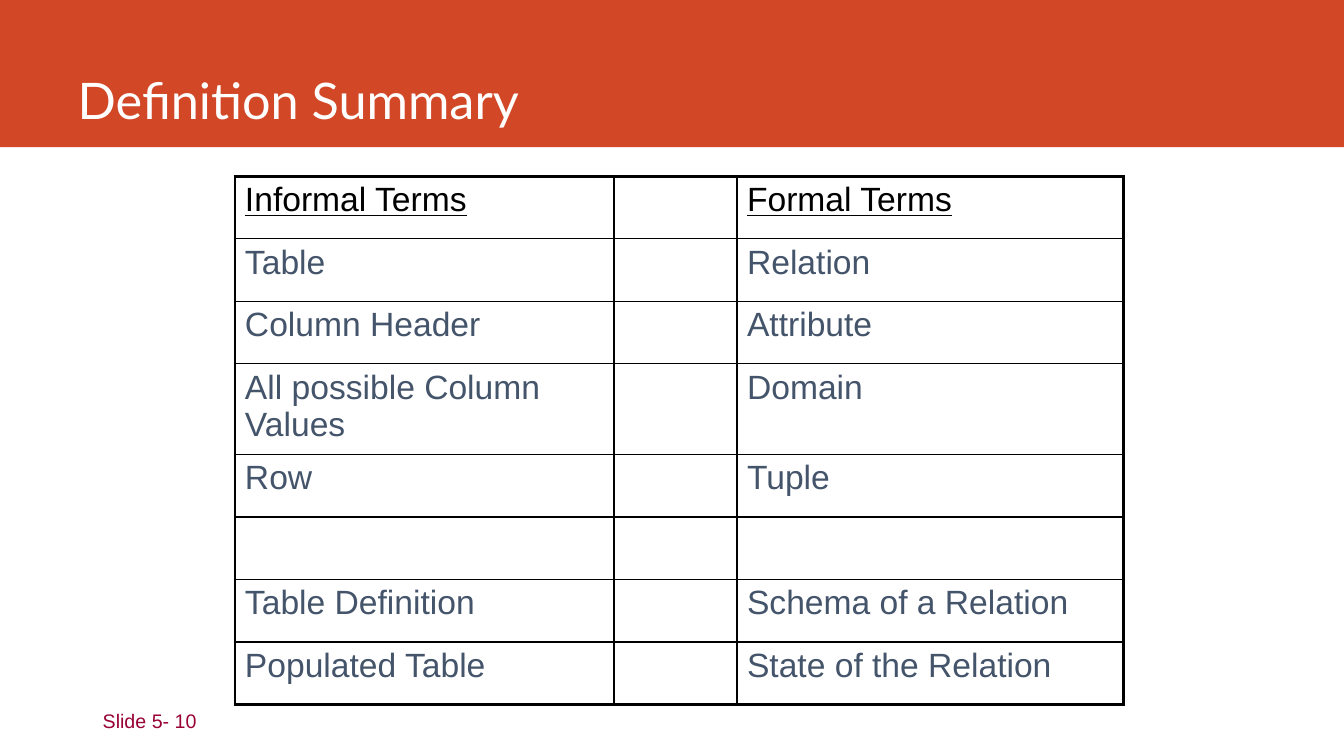
from dataclasses import dataclass

from lxml.etree import SubElement
from pptx import Presentation
from pptx.dml.color import RGBColor
from pptx.enum.shapes import MSO_SHAPE as Shape
from pptx.enum.text import MSO_ANCHOR as Anchor, PP_ALIGN as Align
from pptx.oxml.ns import qn
from pptx.table import Table, _Cell as Cell
from pptx.text.text import TextFrame
from pptx.util import Inches, Pt

COLORS = {
    "band": "D24726",
    "title": "FFFFFF",
    "heading": "000000",
    "term": "44546A",
    "border": "000000",
    "number": "990033",
}
THIN, THICK = 1, 2.25


@dataclass
class TermPair:
    informal: str = ""
    formal: str = ""
    height: float = 0.62
    heading: bool = False


TERMS = [
    TermPair("Informal Terms", "Formal Terms", heading=True),
    TermPair("Table", "Relation"),
    TermPair("Column Header", "Attribute"),
    TermPair("All possible Column Values", "Domain", height=0.9),
    TermPair("Row", "Tuple"),
    TermPair(),
    TermPair("Table Definition", "Schema of a Relation"),
    TermPair("Populated Table", "State of the Relation"),
]
COLUMN_WIDTHS = [3.76, 1.22, 3.83]


def write(frame: TextFrame, text: str, *, size: float, color: str,
          font: str = "Arial", underline: bool = False,
          anchor: Anchor = Anchor.TOP) -> None:
    frame.word_wrap = True
    frame.vertical_anchor = anchor
    paragraph = frame.paragraphs[0]
    paragraph.alignment = Align.LEFT
    run = paragraph.add_run()
    run.text = text
    run.font.name = font
    run.font.size = Pt(size)
    run.font.bold = False
    run.font.underline = underline
    run.font.color.rgb = RGBColor.from_string(COLORS[color])


def set_borders(cell: Cell, widths: dict[str, float]) -> None:
    properties = cell._tc.get_or_add_tcPr()
    for side, width in widths.items():
        line = SubElement(properties, qn(f"a:ln{side}"), w=str(Pt(width)))
        fill = SubElement(line, qn("a:solidFill"))
        SubElement(fill, qn("a:srgbClr"), val=COLORS["border"])


def fill_terms(table: Table) -> None:
    last_row, last_column = len(TERMS) - 1, len(COLUMN_WIDTHS) - 1
    for column, width in zip(table.columns, COLUMN_WIDTHS):
        column.width = Inches(width)
    for r, pair in enumerate(TERMS):
        table.rows[r].height = Inches(pair.height)
        for c, text in enumerate((pair.informal, "", pair.formal)):
            cell = table.cell(r, c)
            # Thick frame outside, thin rules inside
            set_borders(cell, {
                "L": THICK if c == 0 else THIN,
                "R": THICK if c == last_column else THIN,
                "T": THICK if r == 0 else THIN,
                "B": THICK if r == last_row else THIN,
            })
            cell.fill.background()
            if text:
                write(cell.text_frame, text, size=24, underline=pair.heading,
                      color="heading" if pair.heading else "term")


def main() -> None:
    deck = Presentation()
    deck.slide_width, deck.slide_height = Inches(13.33), Inches(7.5)
    slide = deck.slides.add_slide(deck.slide_layouts[5])

    # Title on its colour band
    title = slide.shapes.title
    title.left, title.top = Inches(0.67), Inches(0)
    title.width, title.height = Inches(11.75), Inches(1.34)
    write(title.text_frame, "Definition Summary", size=36, color="title",
          font="Lato", anchor=Anchor.BOTTOM)
    band = slide.shapes.add_shape(Shape.RECTANGLE, 0, 0, deck.slide_width, Inches(1.46))
    band.shadow.inherit = False
    band.fill.solid()
    band.fill.fore_color.rgb = RGBColor.from_string(COLORS["band"])
    band.line.fill.background()
    title.element.addprevious(band.element)

    # Slide number
    number = slide.shapes.add_textbox(Inches(0.92), Inches(6.95), Inches(3.58), Inches(0.4))
    write(number.text_frame, "Slide 5- 10", size=14, color="number", anchor=Anchor.MIDDLE)

    # Table of informal and formal terms
    terms = slide.shapes.add_table(
        len(TERMS), len(COLUMN_WIDTHS), Inches(2.33), Inches(1.75),
        Inches(sum(COLUMN_WIDTHS)), Inches(sum(pair.height for pair in TERMS))).table
    terms.first_row = terms.horz_banding = False
    fill_terms(terms)

    deck.save("out.pptx")


if __name__ == "__main__":
    main()
